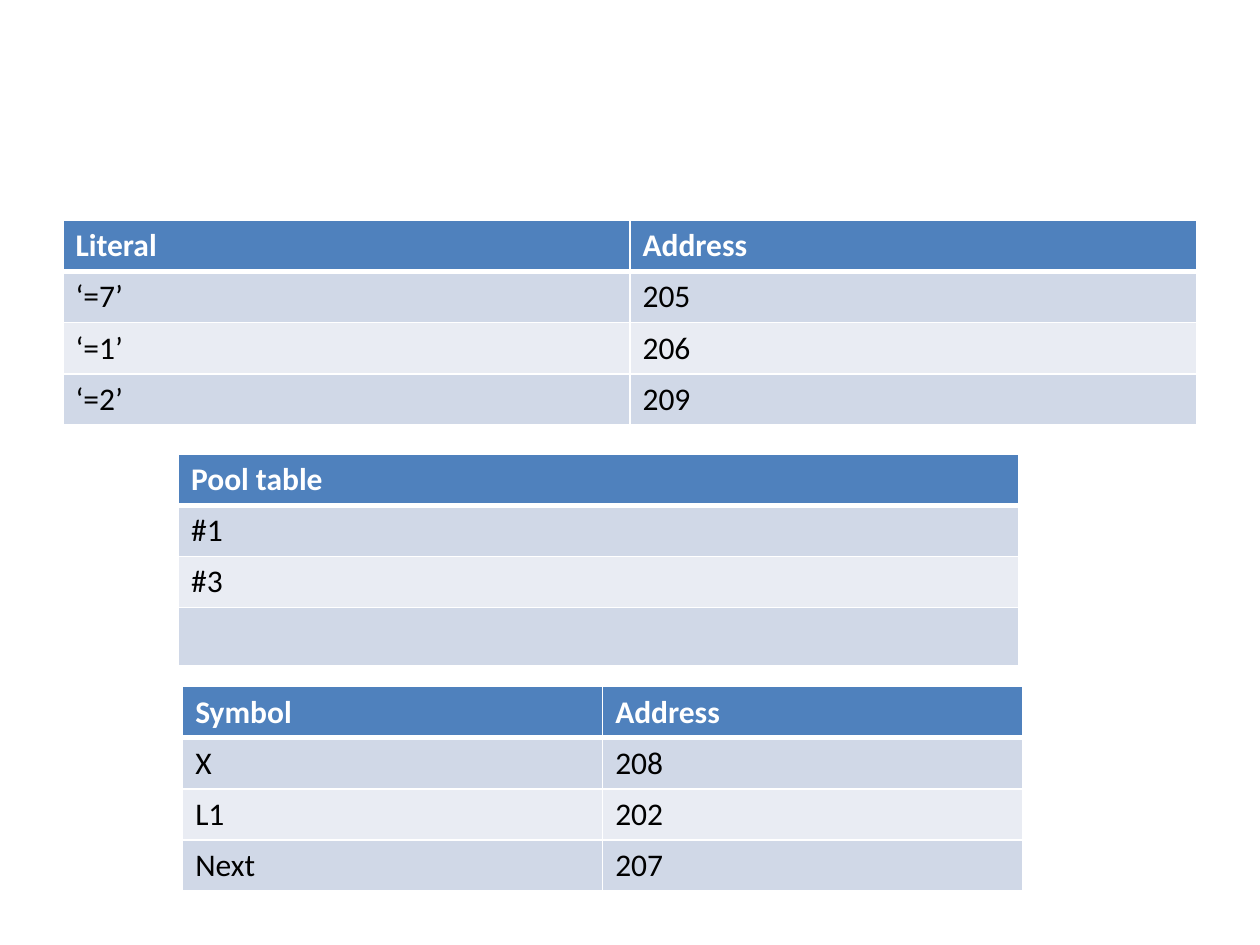
from pptx import Presentation
from pptx import util as u
from pptx.dml import color
from pptx.oxml import ns, xmlchemy

COLORS = {
    "header": "4F81BD",
    "odd": "D0D8E7",
    "even": "E9ECF3",
    "rule": "FFFFFF",
    "header_text": "FFFFFF",
    "body_text": "000000",
}

LITERALS = [("Literal", "Address"), ("‘=7’", "205"), ("‘=1’", "206"), ("‘=2’", "209")]
POOLS = [("Pool table",), ("#1",), ("#3",), ("",)]
SYMBOLS = [("Symbol", "Address"), ("X", "208"), ("L1", "202"), ("Next", "207")]


def rgb(name):
    """Return the named colour."""
    return color.RGBColor.from_string(COLORS[name])


def add_borders(cell, bottom):
    """Rule the four sides of a cell, the lower one in its own width."""
    properties = cell._tc.get_or_add_tcPr()
    for side, width in (("L", 0.96), ("R", 0.96), ("T", 0.96), ("B", bottom)):
        line = xmlchemy.OxmlElement(f"a:ln{side}")
        line.set("w", str(u.Pt(width)))
        fill = xmlchemy.OxmlElement("a:solidFill")
        tint = xmlchemy.OxmlElement("a:srgbClr")
        tint.set("val", COLORS["rule"])
        fill.append(tint)
        line.append(fill)
        properties.append(line)


def format_cell(cell, words, row):
    """Write one cell and style it by its row number."""
    header = row == 0
    add_borders(cell, 3 if header else 0.96)
    cell.fill.solid()
    cell.fill.fore_color.rgb = rgb("header" if header else "odd" if row % 2 else "even")
    cell.text = words
    font = cell.text_frame.paragraphs[0].font
    font.name = "Calibri"
    font.size = u.Pt(18)
    font.bold = header
    font.color.rgb = rgb("header_text" if header else "body_text")


def add_records(page, box, records, heights):
    """Add a table with equal columns in the given left, top and width."""
    left, top, width = box
    columns = len(records[0])
    frame = page.shapes.add_table(
        len(records), columns, u.Pt(left), u.Pt(top), u.Pt(width), u.Pt(sum(heights))
    )
    table = frame.table
    for column in table.columns:
        column.width = u.Pt(width / columns)
    for row, (record, height) in enumerate(zip(records, heights)):
        table.rows[row].height = u.Pt(height)
        for column, words in enumerate(record):
            format_cell(table.cell(row, column), words, row)


def main():
    """Build the slide of assembler tables."""
    deck = Presentation()
    deck.slide_width, deck.slide_height = u.Pt(720), u.Pt(540)
    page = deck.slides.add_slide(deck.slide_layouts[6])
    even_rows = [29.2] * 4
    add_records(page, (36, 126, 648), LITERALS, even_rows)
    add_records(page, (102, 259.5, 480), POOLS, [28.2] * 3 + [33.6])
    add_records(page, (104.4, 392.4, 480), SYMBOLS, even_rows)
    deck.save("out.pptx")


if __name__ == "__main__":
    main()
